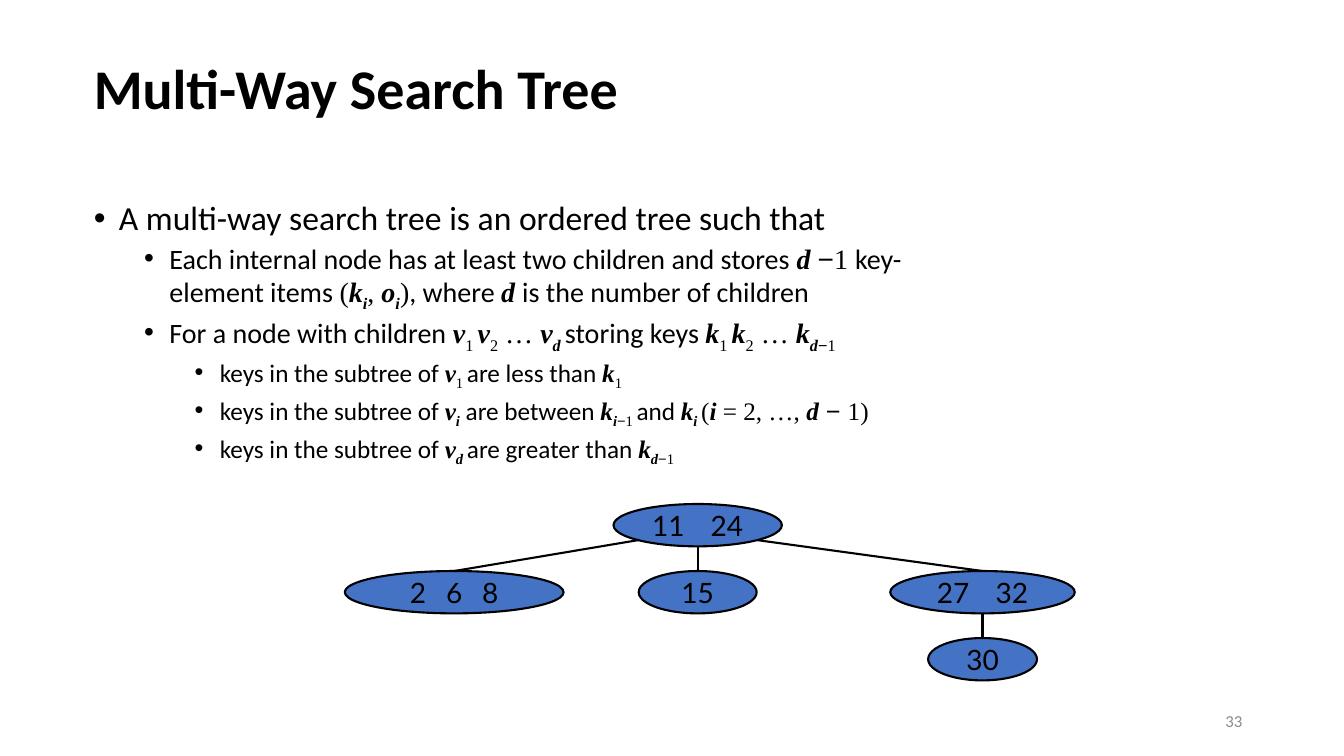
from dataclasses import dataclass
from lxml.etree import SubElement
from pptx import Presentation
from pptx.dml.color import RGBColor
from pptx.enum.shapes import MSO_CONNECTOR, MSO_SHAPE
from pptx.enum.text import MSO_ANCHOR, MSO_AUTO_SIZE, PP_ALIGN
from pptx.oxml.ns import qn
from pptx.util import Inches, Pt


@dataclass(frozen=True)
class Theme:
    ink: RGBColor = RGBColor(0, 0, 0)
    node: RGBColor = RGBColor(0x44, 0x72, 0xC4)
    muted: RGBColor = RGBColor(0x8C, 0x8C, 0x8C)
    text: str = "Calibri"
    math: str = "Times New Roman"
    sign: str = "Arial"
    key: str = "Lato"
    title_size: int = 40
    level_sizes: tuple = (24, 20, 18)
    key_size: int = 20
    number_size: int = 12
    line: float = 1.5


THEME = Theme()
FONTS = {"t": THEME.text, "v": THEME.math, "n": THEME.math, "m": THEME.sign}
EDGE = 0.5 ** 0.5 / 2

# Style codes: t text, v variable, n number, m minus; a trailing _ lowers the run.
BULLETS = [
    (0, [("A multi-way search tree is an ordered tree such that", "t")]),
    (1, [("Each internal node has at least two children and stores ", "t"),
         ("d ", "v"), ("−", "m"), ("1 ", "n"), ("key-element items ", "t"),
         ("(", "n"), ("k", "v"), ("i", "v_"), (", ", "n"), ("o", "v"),
         ("i", "v_"), (")", "n"), (", where ", "t"), ("d ", "v"),
         ("is the number of children", "t")]),
    (1, [("For a node with children ", "t"), ("v", "v"), ("1 ", "n_"),
         ("v", "v"), ("2", "n_"), (" … ", "n"), ("v", "v"), ("d ", "v_"),
         ("storing keys ", "t"), ("k", "v"), ("1 ", "n_"), ("k", "v"),
         ("2", "n_"), (" … ", "n"), ("k", "v"), ("d", "v_"), ("−", "m_"),
         ("1", "n_")]),
    (2, [("keys in the subtree of ", "t"), ("v", "v"), ("1 ", "n_"),
         ("are less than ", "t"), ("k", "v"), ("1", "n_")]),
    (2, [("keys in the subtree of ", "t"), ("v", "v"), ("i", "v_"),
         (" are between ", "t"), ("k", "v"), ("i", "v_"), ("−", "m_"),
         ("1 ", "n_"), ("and ", "t"), ("k", "v"), ("i ", "v_"), ("(", "n"),
         ("i", "v"), (" = 2, …, ", "n"), ("d", "v"), (" − ", "m"),
         ("1)", "n")]),
    (2, [("keys in the subtree of ", "t"), ("v", "v"), ("d ", "v_"),
         ("are greater than ", "t"), ("k", "v"), ("d", "v_"), ("−", "m_"),
         ("1", "n_")]),
]


def place(sp, box):
    sp.left, sp.top, sp.width, sp.height = (Inches(n) for n in box)


def add_run(p, text, font, size, color=THEME.ink, bold=False, italic=False):
    r = p.add_run()
    r.text = text
    r.font.name, r.font.size = font, Pt(size)
    r.font.bold, r.font.italic = bold, italic
    r.font.color.rgb = color
    return r


def add_title(s, box, text):
    sp = s.shapes.title
    place(sp, box)
    tf = sp.text_frame
    tf.auto_size = MSO_AUTO_SIZE.NONE
    tf.vertical_anchor = MSO_ANCHOR.MIDDLE
    p = tf.paragraphs[0]
    p.alignment, p.line_spacing = PP_ALIGN.LEFT, 0.9
    add_run(p, text, THEME.text, THEME.title_size, bold=True)


def add_bullets(s, box, bullets):
    sp = s.placeholders[1]
    place(sp, box)
    tf = sp.text_frame
    tf.auto_size = MSO_AUTO_SIZE.NONE
    for i, (level, runs) in enumerate(bullets):
        p = tf.add_paragraph() if i else tf.paragraphs[0]
        pPr = p._p.get_or_add_pPr()
        pPr.set("marL", str(Inches(0.25 + 0.5 * level)))
        pPr.set("indent", str(Inches(-0.25)))
        SubElement(pPr, qn("a:buFont"), typeface="Arial")
        SubElement(pPr, qn("a:buChar"), char="•")
        p.level, p.line_spacing = level, 0.9
        p.space_before = Pt(5 if i else 0)
        for text, style in runs:
            variable = style[0] == "v"
            r = add_run(p, text, FONTS[style[0]], THEME.level_sizes[level],
                        bold=variable, italic=variable)
            if style.endswith("_"):
                r._r.get_or_add_rPr().set("baseline", "-25000")


def add_node(s, box, keys, gap=0):
    sp = s.shapes.add_shape(MSO_SHAPE.OVAL, *(Inches(n) for n in box))
    sp.shadow.inherit = False
    sp.fill.solid()
    sp.fill.fore_color.rgb = THEME.node
    sp.line.color.rgb = THEME.ink
    sp.line.width = Pt(THEME.line)
    tf = sp.text_frame
    tf.word_wrap = False
    tf.vertical_anchor = MSO_ANCHOR.MIDDLE
    p = tf.paragraphs[0]
    p.alignment = PP_ALIGN.CENTER
    for i, key in enumerate(keys):
        if i:
            r = add_run(p, " ", THEME.key, THEME.key_size)
            r._r.get_or_add_rPr().set("spc", str(gap))
        add_run(p, key, THEME.key, THEME.key_size)
    return sp


def add_branch(s, parent, child, side):
    dx, dy = (side * EDGE, EDGE) if side else (0, 0.5)
    x = int(parent.left + parent.width * (0.5 + dx))
    y = int(parent.top + parent.height * (0.5 + dy))
    c = s.shapes.add_connector(MSO_CONNECTOR.STRAIGHT, x, y, x, y)
    c.end_connect(child, 0)
    c.line.color.rgb = THEME.ink
    c.line.width = Pt(THEME.line)
    SubElement(c._element.spPr, qn("a:effectLst"))


def add_tree(s, box):
    left, top, width, height = box
    node_h = 0.42
    step = (height - node_h) / 2

    def node(center, row, node_w, keys, gap=0):
        at = (left + center - node_w / 2, top + row * step, node_w, node_h)
        return add_node(s, at, keys, gap)

    middle, right = 3.5, width - 0.915
    root = node(middle, 0, 1.67, ["11", "24"], 1350)
    low = node(1.085, 1, 2.17, ["2", "6", "8"], 900)
    mid = node(middle, 1, 1.17, ["15"])
    high = node(right, 1, 1.83, ["27", "32"], 1350)
    leaf = node(right, 2, 1.08, ["30"])
    for parent, child, side in ((root, low, -1), (root, mid, 0),
                                (root, high, 1), (high, leaf, 0)):
        add_branch(s, parent, child, side)


def add_number(s, box, text):
    tf = s.shapes.add_textbox(*(Inches(n) for n in box)).text_frame
    tf.word_wrap = True
    tf.vertical_anchor = MSO_ANCHOR.MIDDLE
    p = tf.paragraphs[0]
    p.alignment = PP_ALIGN.RIGHT
    add_run(p, text, THEME.text, THEME.number_size, THEME.muted)


def main():
    prs = Presentation()
    prs.slide_width, prs.slide_height = Inches(13.33), Inches(7.5)
    s = prs.slides.add_slide(prs.slide_layouts[1])
    add_title(s, (0.83, 0.28, 8.17, 1.25), "Multi-Way Search Tree")
    add_bullets(s, (0.83, 1.95, 8.83, 3), BULLETS)
    add_tree(s, (3.42, 5, 7.24, 1.75))
    add_number(s, (9.42, 6.95, 3, 0.4), "33")
    prs.save("out.pptx")


if __name__ == "__main__":
    main()
